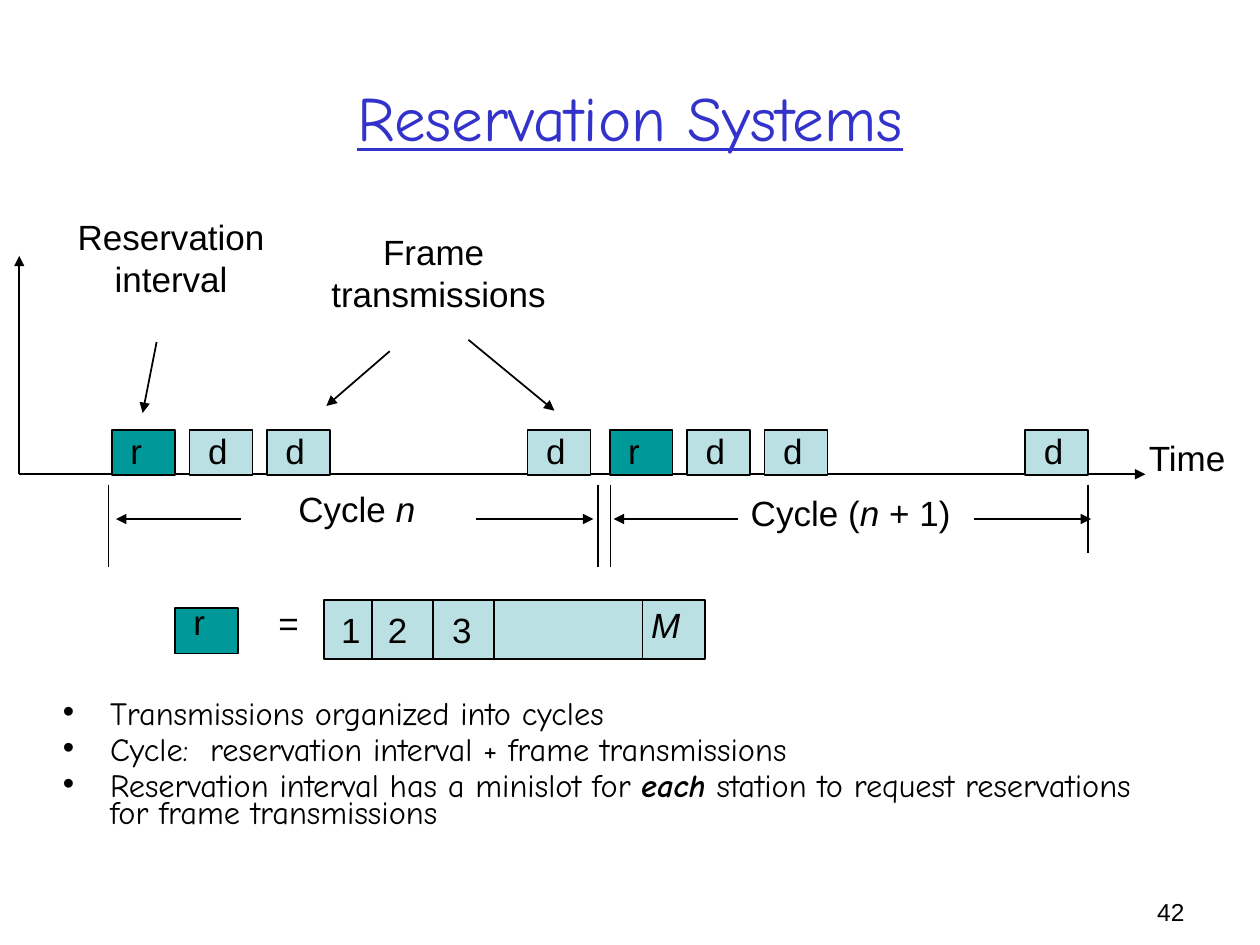
from lxml import etree
from pptx import Presentation
from pptx.dml.color import RGBColor
from pptx.enum.shapes import MSO_CONNECTOR as Connector, MSO_SHAPE as Shape
from pptx.enum.text import MSO_ANCHOR as Anchor, MSO_AUTO_SIZE as AutoSize, PP_ALIGN as Align
from pptx.oxml.ns import qn
from pptx.util import Pt

BLACK, BLUE, TEAL, PALE = "000000", "3333CC", "009999", "BBE0E3"
ITALIC = {"italic": True}
BOLD_ITALIC = {"bold": True, "italic": True}


def rgb(value):
    return RGBColor.from_string(value)


class Diagram:
    """Draws the elements of one slide, with all lengths in points."""

    label_format = {"name": "Arial", "size": Pt(20)}
    body_format = {"name": "Comic Neue", "size": Pt(18.5)}
    title_format = {"name": "Comic Neue", "size": Pt(36), "underline": True}
    number_format = {"name": "Arial", "size": Pt(14)}
    line_width = Pt(1)
    slot_size = (36, 26)

    def __init__(self, slide):
        self.slide = slide
        self.shapes = slide.shapes

    def start_group(self):
        self.shapes = self.slide.shapes.add_group_shape().shapes

    def end_group(self):
        self.shapes = self.slide.shapes

    def box(self, left, top, width, height, fill):
        rect = self.shapes.add_shape(
            Shape.RECTANGLE, Pt(left), Pt(top), Pt(width), Pt(height))
        rect.shadow.inherit = False
        rect.fill.solid()
        rect.fill.fore_color.rgb = rgb(fill)
        rect.line.color.rgb = rgb(BLACK)
        rect.line.width = self.line_width

    def line(self, x1, y1, x2, y2, arrow=False):
        stroke = self.shapes.add_connector(
            Connector.STRAIGHT, Pt(x1), Pt(y1), Pt(x2), Pt(y2))
        stroke.line.color.rgb = rgb(BLACK)
        stroke.line.width = self.line_width
        properties = stroke._element.spPr
        if arrow:
            etree.SubElement(properties.find(qn("a:ln")), qn("a:tailEnd"), type="triangle")
        etree.SubElement(properties, qn("a:effectLst"))

    def text(self, left, top, width, height, paragraphs, style, color=BLACK,
             align=Align.LEFT, anchor=Anchor.TOP, wrap=True, bullets=False):
        """Each paragraph is a string or a list of (words, extra format) runs."""
        holder = self.shapes.add_textbox(Pt(left), Pt(top), Pt(width), Pt(height))
        frame = holder.text_frame
        frame.word_wrap = wrap
        frame.auto_size = AutoSize.NONE if wrap else AutoSize.SHAPE_TO_FIT_TEXT
        frame.vertical_anchor = anchor
        for index, content in enumerate(paragraphs):
            paragraph = frame.add_paragraph() if index else frame.paragraphs[0]
            paragraph.alignment = align
            if bullets:
                self.bullet(paragraph, space_before=5 if index else 0)
            runs = [(content, {})] if isinstance(content, str) else content
            for words, extra in runs:
                run = paragraph.add_run()
                run.text = words
                for attribute, value in {**style, **extra}.items():
                    setattr(run.font, attribute, value)
                run.font.color.rgb = rgb(color)

    def bullet(self, paragraph, space_before):
        paragraph.line_spacing = 0.7
        paragraph.space_before = Pt(space_before)
        properties = paragraph._p.get_or_add_pPr()
        indent = Pt(27)
        properties.set("marL", str(indent))
        properties.set("indent", str(-indent))
        bullet_color = etree.SubElement(properties, qn("a:buClr"))
        etree.SubElement(bullet_color, qn("a:srgbClr"), val=BLACK)
        etree.SubElement(properties, qn("a:buFont"), typeface="Arial")
        etree.SubElement(properties, qn("a:buChar"), char="•")

    def label(self, left, top, width, *paragraphs, align=Align.LEFT):
        self.text(left, top, width, 31 if len(paragraphs) == 1 else 55, paragraphs,
                  self.label_format, align=align, wrap=False)

    def slot(self, left, top, letter, dx=3.5, dy=-3.5):
        """A reservation (r) or data (d) slot, its letter shifted by dx, dy."""
        self.box(left, top, *self.slot_size, TEAL if letter == "r" else PALE)
        self.label(left + dx, top + dy, 22 if letter == "r" else 26, letter)


def draw_cycles(diagram):
    slot_top, span_y, cycle_width = 245.5, 296.6, 284.4
    slots = [(64, "r"), (108.3, "d"), (152.5, "d"), (301.5, "d")]
    for start in (0, cycle_width):
        for left, letter in slots:
            diagram.slot(start + left, slot_top, letter)
        diagram.line(start + 137.5, span_y, start + 66.3, span_y, arrow=True)
        diagram.line(start + 272.2, span_y, start + 339.1, span_y, arrow=True)

    for x, bottom in ((62, 324), (341.8, 324), (348.9, 324), (621.6, 316)):
        diagram.line(x, 277, x, bottom)
    diagram.label(163.4, 275, 84, [("Cycle ", {}), ("n", ITALIC)])
    diagram.label(421.9, 277.3, 132, [("Cycle (", {}), ("n ", ITALIC), ("+ 1)", {})])


def draw_callouts(diagram):
    diagram.label(35.8, 119.5, 124, "Reservation", "interval", align=Align.CENTER)
    diagram.label(180.6, 128.2, 140, "Frame ", "transmissions", align=Align.CENTER)
    for pointer in ((89.5, 195.5, 81.5, 236), (222.7, 200.7, 186.5, 232),
                    (267.7, 194.2, 316.8, 234.7)):
        diagram.line(*pointer, arrow=True)


def draw_minislots(diagram):
    diagram.slot(100, 347.5, "r", dy=-7.7)
    diagram.label(152, 340, 27, "=")
    top, height = 342.8, 33.8
    diagram.start_group()
    diagram.box(185, top, 218, height, PALE)
    for x in (212.5, 247.5, 282.5, 367.2):
        diagram.line(x, top + 0.6, x, top + height)
    for left, number in ((187.9, "1"), (214.6, "2"), (251.3, "3")):
        diagram.label(left, 344.2, 26, number)
    diagram.label(365, 341.5, 32, [("M", ITALIC)])
    diagram.end_group()


def main():
    deck = Presentation()
    deck.slide_width, deck.slide_height = Pt(720), Pt(540)
    diagram = Diagram(deck.slides.add_slide(deck.slide_layouts[6]))

    diagram.text(36, 21.6, 648, 90, ["Reservation Systems"], diagram.title_format,
                 color=BLUE, align=Align.CENTER, anchor=Anchor.MIDDLE)
    diagram.line(11, 271, 654.5, 271, arrow=True)
    diagram.line(11, 271, 11, 146.2, arrow=True)
    diagram.label(649.4, 245.7, 61, "Time")
    draw_cycles(diagram)
    draw_callouts(diagram)
    draw_minislots(diagram)

    points = [
        "Transmissions organized into cycles",
        "Cycle:  reservation interval + frame transmissions",
        [("Reservation interval has a minislot for ", {}), ("each", BOLD_ITALIC),
         (" station to request reservations for frame transmissions", {})],
    ]
    diagram.text(28.8, 398.6, 652.3, 81.4, points, diagram.body_format, bullets=True)
    diagram.text(516.2, 509, 167.8, 20.2, ["42"], diagram.number_format, align=Align.RIGHT)
    deck.save("out.pptx")


if __name__ == "__main__":
    main()
